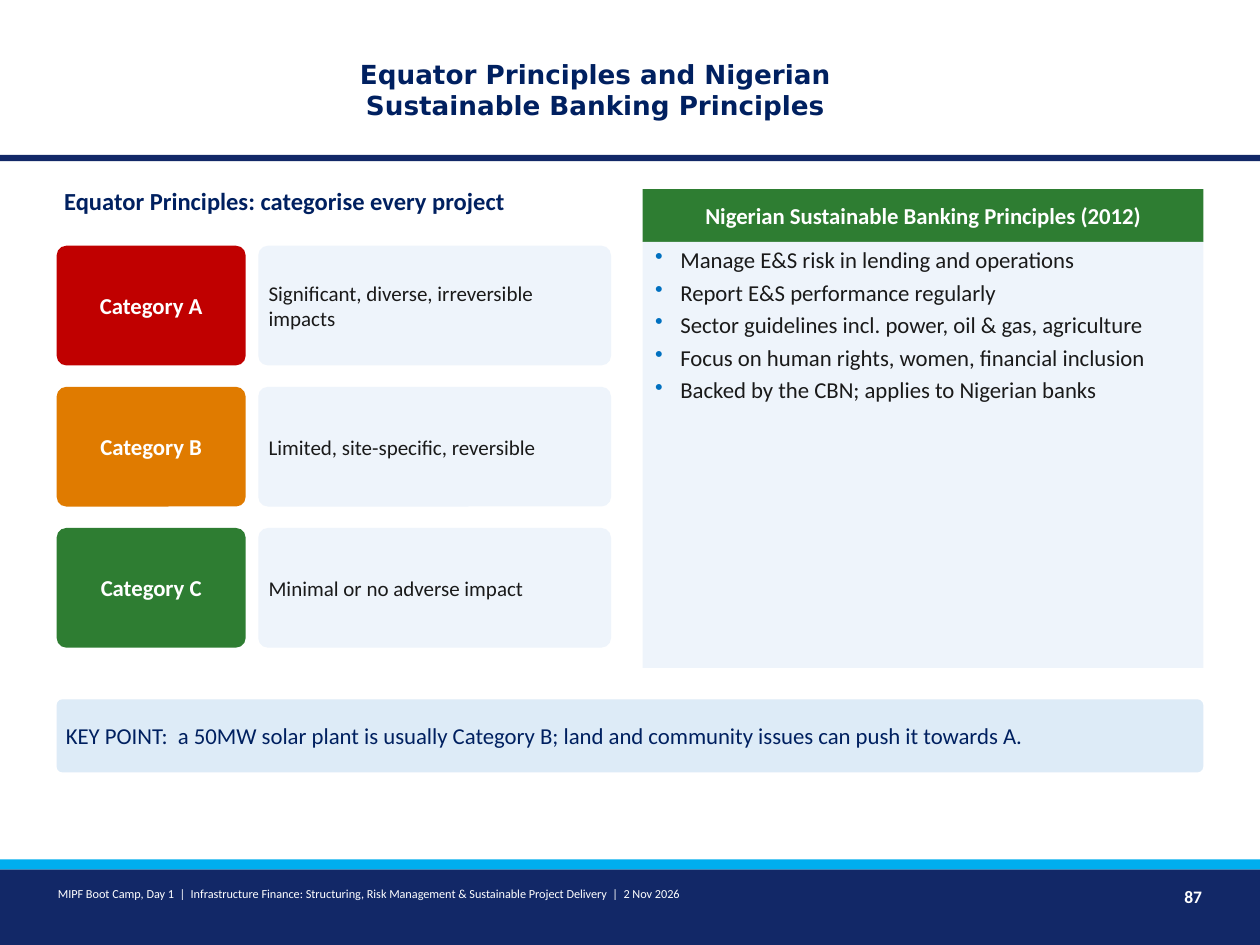
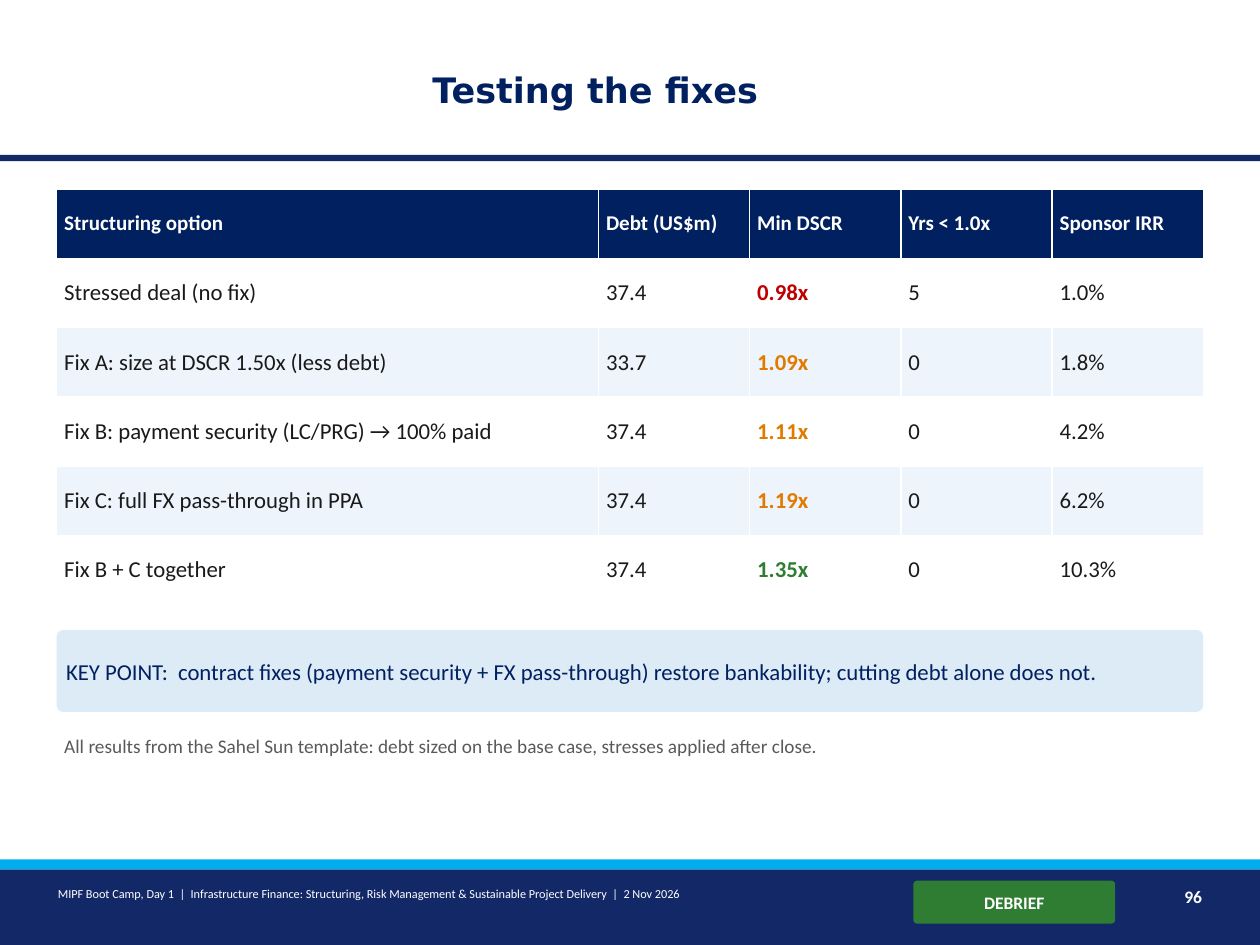
from lxml import etree
from pptx import Presentation, util as u
from pptx.dml import color
from pptx.enum import shapes, text
from pptx.oxml import ns

COLORS = {
    "navy": "002060", "band": "122867", "sky": "00AEEF", "white": "FFFFFF",
    "ink": "1A1A1A", "grey": "595959", "pale": "EEF4FB", "callout": "DDEBF7",
    "bullet": "0070C0", "red": "C00000", "amber": "E07B00", "green": "2E7D32",
}
FONT, TITLE_FONT = "Calibri", "DejaVu Sans"
LEFT, WIDTH = 32.4, 655.2
INSETS = {
    "margin_left": u.Pt(4.32), "margin_right": u.Pt(4.32),
    "margin_top": u.Pt(2.16), "margin_bottom": u.Pt(2.16),
}
FOOTER = ("MIPF Boot Camp, Day 1  |  Infrastructure Finance: Structuring, "
          "Risk Management & Sustainable Project Delivery  |  2 Nov 2026")
RECTANGLE = shapes.MSO_SHAPE.RECTANGLE
ROUNDED = shapes.MSO_SHAPE.ROUNDED_RECTANGLE
MIDDLE, TOP = text.MSO_ANCHOR.MIDDLE, text.MSO_ANCHOR.TOP
ALIGN = text.PP_ALIGN


def rgb(name):
    return color.RGBColor.from_string(COLORS[name])


def apply(target, values):
    for name, value in values.items():
        setattr(target, name, value)


class Deck:
    """Holds the presentation style and draws elements on the current slide."""

    def __init__(self):
        self.presentation = Presentation()
        apply(self.presentation, {"slide_width": u.Pt(720), "slide_height": u.Pt(540)})
        self.slide = None

    def new_slide(self, title, title_size, number):
        self.slide = self.presentation.slides.add_slide(self.presentation.slide_layouts[5])
        shape = self.slide.shapes.title
        apply(shape, dict(zip(("left", "top", "width", "height"),
                              map(u.Pt, (165.6, 15.84, 349.2, 70.56)))))
        apply(shape.text_frame, {"word_wrap": True, "vertical_anchor": MIDDLE,
                                 "auto_size": text.MSO_AUTO_SIZE.NONE})
        self.add_words(shape.text_frame.paragraphs[0], title, title_size, "navy",
                       True, ALIGN.CENTER, TITLE_FONT)
        self.box((0, 88.56, 720, 3.6), "band")
        self.box((0, 496.8, 720, 43.2), "band")
        self.box((0, 491.04, 720, 5.76), "sky")
        self.label((28.8, 504, 489.6, 25.2), FOOTER, 7, "white")
        self.label((648, 504, 43.2, 25.2), number, 10, "white", True, ALIGN.RIGHT)

    def add_words(self, paragraph, words, size, ink, bold=False, align=ALIGN.LEFT, font=FONT):
        paragraph.alignment = align
        run = paragraph.add_run()
        run.text = words
        apply(run.font, {"name": font, "size": u.Pt(size), "bold": bold})
        run.font.color.rgb = rgb(ink)

    def box(self, place, fill, kind=RECTANGLE, words=None, size=13, ink="ink",
            bold=False, align=ALIGN.LEFT):
        shape = self.slide.shapes.add_shape(kind, *map(u.Pt, place))
        shape.shadow.inherit = False
        shape.fill.solid()
        shape.fill.fore_color.rgb = rgb(fill)
        shape.line.fill.background()
        if kind == ROUNDED:
            shape.adjustments[0] = 0.08
        apply(shape.text_frame, {**INSETS, "word_wrap": True, "vertical_anchor": MIDDLE})
        if words:
            self.add_words(shape.text_frame.paragraphs[0], words, size, ink, bold, align)
        return shape

    def label(self, place, words, size, ink, bold=False, align=ALIGN.LEFT):
        shape = self.slide.shapes.add_textbox(*map(u.Pt, place))
        apply(shape.text_frame, {**INSETS, "word_wrap": True,
                                 "auto_size": text.MSO_AUTO_SIZE.SHAPE_TO_FIT_TEXT})
        self.add_words(shape.text_frame.paragraphs[0], words, size, ink, bold, align)

    def key_point(self, top, height, words):
        self.box((LEFT, top, WIDTH, height), "callout", ROUNDED,
                 "KEY POINT:  " + words, ink="navy")

    def bullet_panel(self, place, items):
        frame = self.box(place, "pale").text_frame
        frame.vertical_anchor = TOP
        for index, item in enumerate(items):
            paragraph = frame.add_paragraph() if index else frame.paragraphs[0]
            paragraph.space_after = u.Pt(3)
            properties = paragraph._p.get_or_add_pPr()
            properties.set("marL", str(u.Pt(17.28)))
            properties.set("indent", str(u.Pt(-14.4)))
            tint = etree.SubElement(properties, ns.qn("a:buClr"))
            etree.SubElement(tint, ns.qn("a:srgbClr"), val=COLORS["bullet"])
            etree.SubElement(properties, ns.qn("a:buChar"), char="•")
            self.add_words(paragraph, item, 13, "ink")

    def table(self, top, widths, row_height, rows, accents, accent_column):
        place = (LEFT, top, sum(widths), row_height * len(rows))
        table = self.slide.shapes.add_table(len(rows), len(widths), *map(u.Pt, place)).table
        for column, width in zip(table.columns, widths):
            column.width = u.Pt(width)
        for i, row in enumerate(rows):
            fill = "navy" if i == 0 else "white" if i % 2 else "pale"
            for j, words in enumerate(row):
                cell = table.cell(i, j)
                apply(cell, {**INSETS, "vertical_anchor": MIDDLE})
                cell.fill.solid()
                cell.fill.fore_color.rgb = rgb(fill)
                accented = i > 0 and j == accent_column
                ink = "white" if i == 0 else accents[i - 1] if accented else "ink"
                self.add_words(cell.text_frame.paragraphs[0], words, 13 if i else 12,
                               ink, i == 0 or accented)


def principles_slide(deck):
    deck.new_slide("Equator Principles and Nigerian Sustainable Banking Principles", 15, "87")
    deck.label((LEFT, 104.4, 316.8, 28.8), "Equator Principles: categorise every project",
               14, "navy", True)
    categories = [
        ("Category A", "red", "Significant, diverse, irreversible impacts"),
        ("Category B", "amber", "Limited, site-specific, reversible"),
        ("Category C", "green", "Minimal or no adverse impact"),
    ]
    for index, (name, fill, impact) in enumerate(categories):
        top = 140.4 + index * 80.64
        deck.box((LEFT, top, 108, 68.4), fill, ROUNDED, name, 13, "white", True, ALIGN.CENTER)
        deck.box((147.6, top, 201.6, 68.4), "pale", ROUNDED, impact, 12)
    deck.box((367.2, 108, 320.4, 30.24), "green", RECTANGLE,
             "Nigerian Sustainable Banking Principles (2012)", 13, "white", True, ALIGN.CENTER)
    deck.bullet_panel((367.2, 138.24, 320.4, 243.36), [
        "Manage E&S risk in lending and operations",
        "Report E&S performance regularly",
        "Sector guidelines incl. power, oil & gas, agriculture",
        "Focus on human rights, women, financial inclusion",
        "Backed by the CBN; applies to Nigerian banks",
    ])
    deck.key_point(399.6, 41.76, "a 50MW solar plant is usually Category B; "
                   "land and community issues can push it towards A.")


def fixes_slide(deck):
    deck.new_slide("Testing the fixes", 20, "96")
    deck.box((522, 503.28, 115.2, 24.48), "green", ROUNDED, "DEBRIEF", 10, "white",
             True, ALIGN.CENTER)
    rows = [
        ("Structuring option", "Debt (US$m)", "Min DSCR", "Yrs < 1.0x", "Sponsor IRR"),
        ("Stressed deal (no fix)", "37.4", "0.98x", "5", "1.0%"),
        ("Fix A: size at DSCR 1.50x (less debt)", "33.7", "1.09x", "0", "1.8%"),
        ("Fix B: payment security (LC/PRG) → 100% paid", "37.4", "1.11x", "0", "4.2%"),
        ("Fix C: full FX pass-through in PPA", "37.4", "1.19x", "0", "6.2%"),
        ("Fix B + C together", "37.4", "1.35x", "0", "10.3%"),
    ]
    deck.table(108, [309.6] + [86.4] * 4, 39.6, rows,
               ["red", "amber", "amber", "amber", "green"], 2)
    deck.key_point(360, 46.8, "contract fixes (payment security + FX pass-through) "
                   "restore bankability; cutting debt alone does not.")
    deck.label((LEFT, 417.6, WIDTH, 43.2), "All results from the Sahel Sun template: "
               "debt sized on the base case, stresses applied after close.", 11, "grey")


def main():
    deck = Deck()
    principles_slide(deck)
    fixes_slide(deck)
    deck.presentation.save("out.pptx")


if __name__ == "__main__":
    main()
